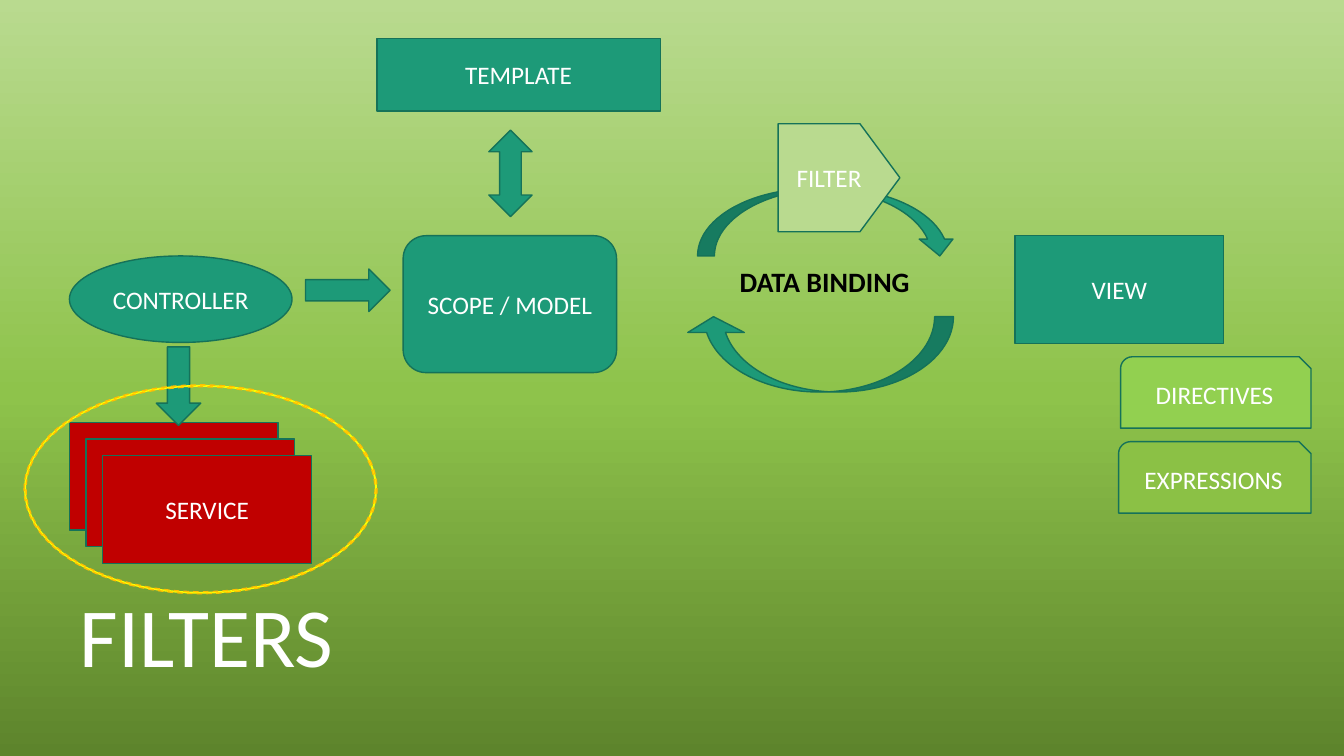
from copy import deepcopy

from pptx import Presentation
from pptx.dml.color import RGBColor
from pptx.enum import dml, shapes, text
from pptx.util import Cm, Pt

TEAL = RGBColor(0x1D, 0x9A, 0x78)
DARK_TEAL = RGBColor(0x15, 0x72, 0x59)
WHITE = RGBColor(0xFF, 0xFF, 0xFF)
BLACK = RGBColor(0x00, 0x00, 0x00)
RED = RGBColor(0xC0, 0x00, 0x00)
YELLOW = RGBColor(0xFF, 0xFF, 0x00)
AMBER = RGBColor(0xFF, 0xC0, 0x00)
BRIGHT_GREEN = RGBColor(0x92, 0xD0, 0x50)
GREEN = RGBColor(0x8B, 0xC1, 0x45)
PALE_GREEN = RGBColor(0xB9, 0xDA, 0x8F)
MID_GREEN = RGBColor(0x8E, 0xC3, 0x4B)
DEEP_GREEN = RGBColor(0x5D, 0x84, 0x2C)
FORM = shapes.MSO_SHAPE

prs = Presentation()
prs.slide_width, prs.slide_height = Cm(33.87), Cm(19.05)
slide = prs.slides.add_slide(prs.slide_layouts[5])


def write(frame, words, size, color, bold=False):
    frame.text = words
    font = frame.paragraphs[0].runs[0].font
    font.name, font.size, font.bold = "Calibri", Pt(size), bold
    font.color.rgb = color


def add_part(form, left, top, width, height, fill=TEAL, label=""):
    part = slide.shapes.add_shape(form, Cm(left), Cm(top), Cm(width), Cm(height))
    part.shadow.inherit = False
    part.fill.solid()
    part.fill.fore_color.rgb = fill
    part.line.color.rgb = DARK_TEAL
    part.line.width = Pt(1)
    if label:
        frame = part.text_frame
        write(frame, label, 18, WHITE)
        frame.vertical_anchor = text.MSO_ANCHOR.MIDDLE
        frame.paragraphs[0].alignment = text.PP_ALIGN.CENTER
    return part


# Background: three greens, dark at the bottom
backdrop = slide.background.fill
backdrop.gradient()
backdrop.gradient_angle = 90
stop_list = slide.background._cSld.find(".//{*}gsLst")
stop_list.insert(1, deepcopy(stop_list[0]))
greens = [(0, DEEP_GREEN), (0.48, MID_GREEN), (1, PALE_GREEN)]
for stop, (position, color) in zip(backdrop.gradient_stops, greens):
    stop.position = position
    stop.color.rgb = color

# Title
title = slide.shapes.title
title.left, title.top, title.width, title.height = Cm(1.75), Cm(12.9), Cm(29.21), Cm(4.5)
write(title.text_frame, "FILTERS", 60, WHITE)
title.text_frame.vertical_anchor = text.MSO_ANCHOR.BOTTOM
title.text_frame.paragraphs[0].alignment = text.PP_ALIGN.LEFT
title.text_frame.paragraphs[0].line_spacing = 0.9

# Main building blocks
for form, left, top, width, height, label in [
    (FORM.RECTANGLE, 9.5, 0.97, 7.14, 1.83, "TEMPLATE"),
    (FORM.OVAL, 1.75, 6.45, 5.61, 2.18, "CONTROLLER"),
    (FORM.ROUNDED_RECTANGLE, 10.16, 5.94, 5.38, 3.45, "SCOPE / MODEL"),
    (FORM.RECTANGLE, 25.58, 5.94, 5.26, 2.72, "VIEW"),
]:
    add_part(form, left, top, width, height, label=label)

# Data binding cycle between model and view
add_part(FORM.UP_DOWN_ARROW, 12.32, 3.28, 1.09, 2.18)
add_part(FORM.CURVED_DOWN_ARROW, 17.58, 4.75, 6.53, 1.7)
return_arrow = add_part(FORM.CURVED_UP_ARROW, 17.27, 7.98, 6.76, 1.9)
return_arrow._element.spPr.xfrm.set("flipH", "1")
for index, value in enumerate([0.25, 0.75, 0.21]):
    return_arrow.adjustments[index] = value
binding = slide.shapes.add_textbox(Cm(18.39), Cm(6.55), Cm(5.28), Cm(1.12))
binding.text_frame.word_wrap = True
binding.text_frame.auto_size = text.MSO_AUTO_SIZE.SHAPE_TO_FIT_TEXT
write(binding.text_frame, "DATA BINDING", 20, BLACK, bold=True)
add_part(FORM.RIGHT_ARROW, 7.7, 6.78, 2.13, 1.07)

# View helpers and the filter
add_part(FORM.SNIP_ROUND_RECTANGLE, 28.24, 8.99, 4.8, 1.8, BRIGHT_GREEN, "DIRECTIVES")
add_part(FORM.SNIP_ROUND_RECTANGLE, 28.19, 11.13, 4.85, 1.8, GREEN, "EXPRESSIONS")
filter_tag = add_part(FORM.PENTAGON, 19.61, 3.12, 3.07, 2.72, PALE_GREEN, "FILTER")
filter_tag.adjustments[0] = 0.37

# Stack of services, label on the front card
for card, label in enumerate(["", "", "SERVICE"]):
    shift = 0.42 * card
    add_part(FORM.RECTANGLE, 1.75 + shift, 10.64 + shift, 5.26, 2.72, RED, label)
add_part(FORM.DOWN_ARROW, 3.94, 8.74, 1.12, 1.98)

# Highlight ring
ring = add_part(FORM.DONUT, 0.61, 9.7, 8.89, 5.26, YELLOW)
ring.adjustments[0] = 0.009
ring.line.color.rgb = AMBER
ring.line.dash_style = dml.MSO_LINE.DASH

prs.save("out.pptx")
